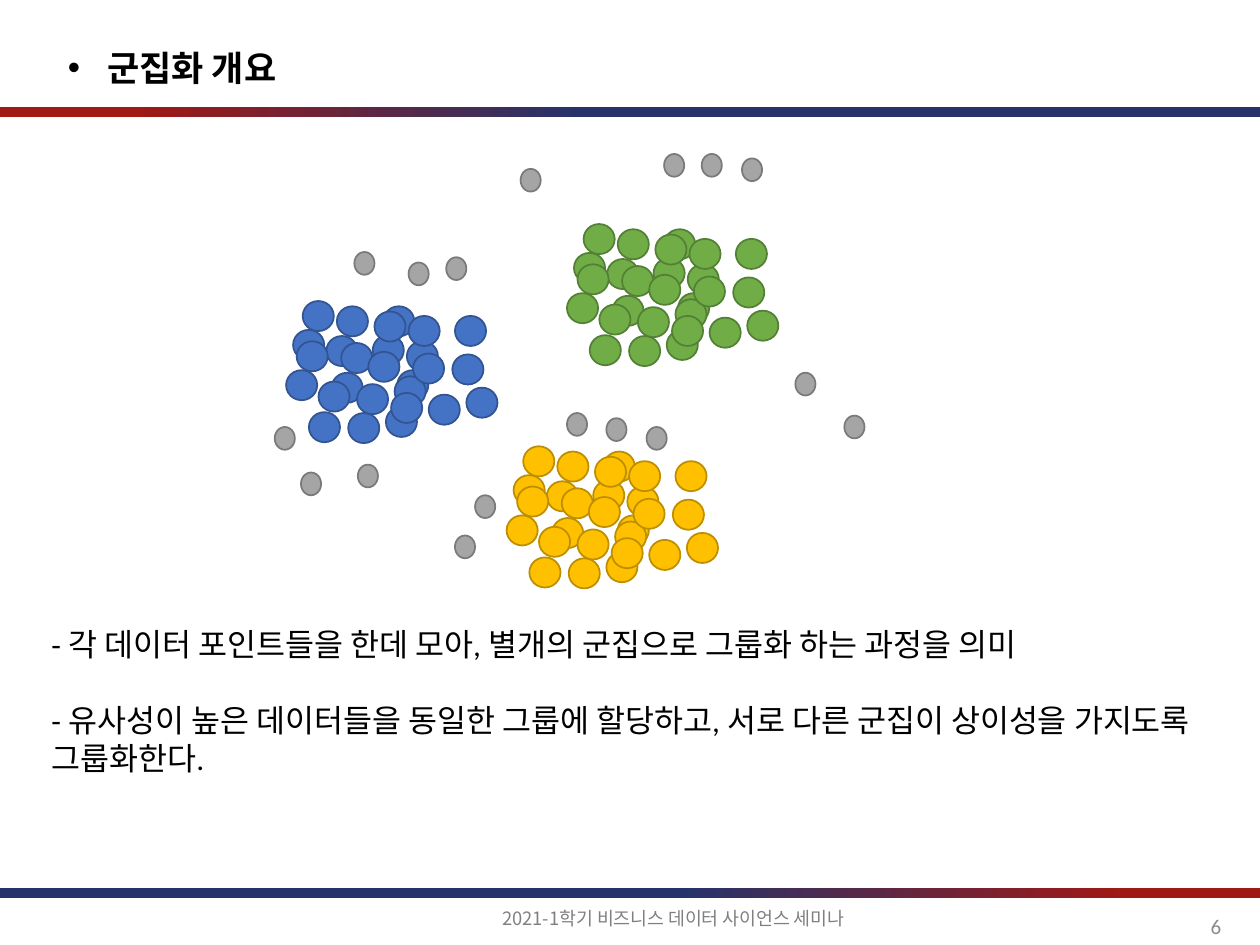
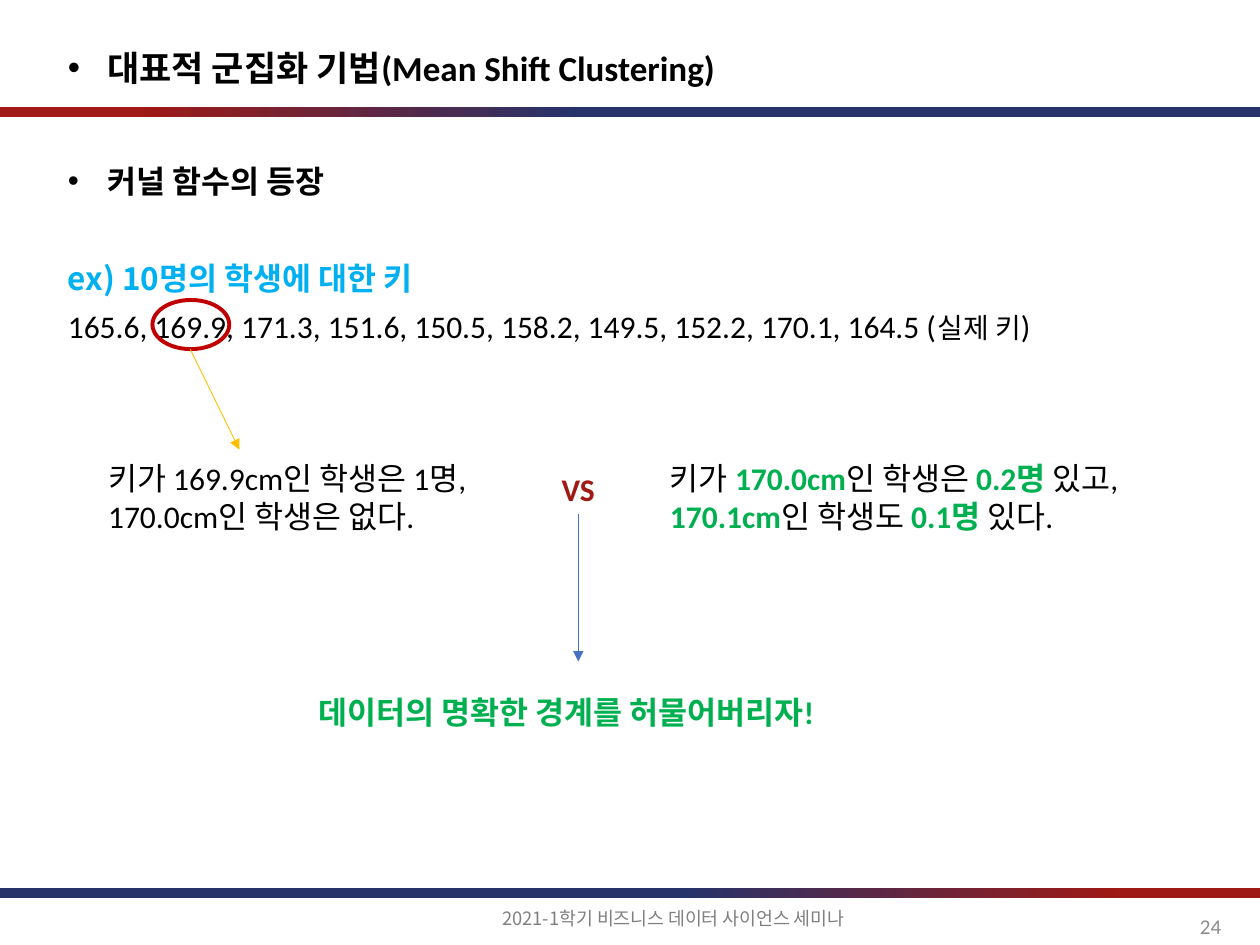
from lxml.etree import SubElement
from pptx import Presentation
from pptx.dml.color import RGBColor
from pptx.enum.shapes import MSO_CONNECTOR, MSO_SHAPE
from pptx.enum.text import MSO_ANCHOR, PP_ALIGN
from pptx.oxml.ns import qn
from pptx.util import Pt

LATIN, KOREAN = "Calibri", "Noto Sans CJK KR"
NAVY, CRIMSON = "26336B", "9F1915"
BLACK, GREEN, SKY = "000000", "00B050", "00B0F0"
FOOTER = "2021-1학기 비즈니스 데이터 사이언스 세미나"
LINE_PITCH = 1.21

# Fill, outline and top-left corner of each cluster
CLUSTERS = [
    ("4472C4", "325491", 163.5, 172),
    ("70AD47", "538035", 324, 128),
    ("FFC000", "BD8E00", 289.5, 255),
]
# Every cluster has the same scatter of members, in drawing order
MEMBERS = [
    (0, 39.5), (23, 20), (49.5, 19.5), (26, 41), (63.5, 39.5), (57, 60.5),
    (13, 63.5), (35.5, 64), (4, 16.5), (6, 23), (29, 3), (55.5, 3),
    (31.5, 24), (69, 23), (62, 43), (18.5, 46), (40.5, 47.5), (9.5, 0),
    (47, 29), (70, 8.5), (96.5, 8.5), (72.5, 30), (95, 30.5), (103, 49.5),
    (60, 52.5), (81.5, 53.5), (50.5, 6),
]
OUTLIERS = [
    (233.5, 150), (202.5, 144), (255, 147), (271.5, 283), (260, 306),
    (324, 236), (346.5, 239), (172, 270), (369.5, 244), (204.5, 265.5),
    (157, 244), (454.5, 213), (482.5, 237.5), (401, 88), (424, 90.5),
    (297.5, 96.5), (379.5, 88),
]


def rgb(color):
    return RGBColor.from_string(color)


class SeminarDeck:
    def __init__(self):
        self.deck = Presentation()
        self.deck.slide_width, self.deck.slide_height = Pt(720), Pt(540)
        self.page = None

    def add_page(self, title, number):
        self.page = self.deck.slides.add_slide(self.deck.slide_layouts[6])
        self.band(61.2, (11, CRIMSON), (46, NAVY))
        self.band(507.4, (54, NAVY), (89, CRIMSON))
        heading = self.box(31.7, 23, 618.5, 31.7)
        self.text(heading, [title], size=20, bold=True, bullet=True,
                  align=PP_ALIGN.JUSTIFY)
        footer = self.box(280, 514.8, 237.6, 20)
        self.text(footer, [FOOTER], size=10.5, color="808080", font=KOREAN)
        page_number = self.box(542.9, 514.8, 162, 28.8, MSO_ANCHOR.MIDDLE)
        self.text(page_number, [str(number)], size=12, color="8C8C8C",
                  align=PP_ALIGN.RIGHT)

    def band(self, top, *stops):
        """Full-width gradient bar; stops are (percent, color) pairs."""
        bar = self.page.shapes.add_shape(
            MSO_SHAPE.RECTANGLE, Pt(0), Pt(top), Pt(720), Pt(5.8))
        bar.shadow.inherit = False
        bar.line.fill.background()
        bar.fill.gradient()
        bar.fill.gradient_angle = 0
        for stop, (percent, color) in zip(bar.fill.gradient_stops, stops):
            stop.position = percent / 100
            stop.color.rgb = rgb(color)

    def box(self, left, top, width, height, anchor=MSO_ANCHOR.TOP):
        frame = self.page.shapes.add_textbox(
            Pt(left), Pt(top), Pt(width), Pt(height)).text_frame
        frame.word_wrap = True
        frame.vertical_anchor = anchor
        return frame

    def text(self, frame, spans, size=18, color=BLACK, bold=False, font=LATIN,
             align=PP_ALIGN.LEFT, before=0, after=0, bullet=False):
        """Add a paragraph; a span is a string or (string, font settings)."""
        para = frame.paragraphs[0]
        if para.runs:
            para = frame.add_paragraph()
        para.alignment = align
        para.line_spacing = Pt(size * LINE_PITCH)
        para.space_before, para.space_after = Pt(before), Pt(after)
        para.font.size, para.font.bold = Pt(size), bold
        para.font.color.rgb = rgb(color)
        para.font.name = font
        properties = para._p.pPr
        defaults = properties.find(qn("a:defRPr"))
        SubElement(defaults, qn("a:ea"), typeface=KOREAN)
        if bullet:
            properties.set("marL", str(Pt(22.5)))
            properties.set("indent", str(Pt(-22.5)))
            for tag, settings in (("a:buFont", {"typeface": "Arial"}),
                                  ("a:buChar", {"char": "•"})):
                defaults.addprevious(
                    SubElement(properties, qn(tag), settings))
        for span in spans:
            words, style = span if isinstance(span, tuple) else (span, {})
            run = para.add_run()
            run.text = words
            if "color" in style:
                run.font.color.rgb = rgb(style["color"])
            if "bold" in style:
                run.font.bold = style["bold"]
            if "size" in style:
                run.font.size = Pt(style["size"])

    def ellipse(self, left, top, width, height, line, fill=None, weight=1):
        oval = self.page.shapes.add_shape(
            MSO_SHAPE.OVAL, Pt(left), Pt(top), Pt(width), Pt(height))
        oval.shadow.inherit = False
        if fill:
            oval.fill.solid()
            oval.fill.fore_color.rgb = rgb(fill)
        else:
            oval.fill.background()
        oval.line.color.rgb = rgb(line)
        oval.line.width = Pt(weight)

    def arrow(self, x1, y1, x2, y2, color):
        link = self.page.shapes.add_connector(
            MSO_CONNECTOR.STRAIGHT, Pt(x1), Pt(y1), Pt(x2), Pt(y2))
        link.line.color.rgb = rgb(color)
        link.line.width = Pt(0.5)
        SubElement(link.line._get_or_add_ln(), qn("a:tailEnd"),
                   type="triangle")
        SubElement(link._element.spPr, qn("a:effectLst"))


def clustering_overview(deck):
    deck.add_page("군집화 개요", 6)
    for fill, line, left, top in CLUSTERS:
        for x, y in MEMBERS:
            deck.ellipse(left + x, top + y, 17.8, 17.2, line, fill)
    for x, y in OUTLIERS:
        deck.ellipse(x, y, 11.5, 13, "7A7A7A", "A5A5A5")
    summary = deck.box(22.3, 353.5, 682.6, 94.3)
    deck.text(summary, ["- 각 데이터 포인트들을 한데 모아, 별개의 군집으로 "
                        "그룹화 하는 과정을 의미"])
    deck.text(summary, ["- 유사성이 높은 데이터들을 동일한 그룹에 할당하고, "
                        "서로 다른 군집이 상이성을 가지도록 그룹화한다."],
              before=21.7)


def mean_shift(deck):
    deck.add_page("대표적 군집화 기법(Mean Shift Clustering)", 24)
    flow = {"align": PP_ALIGN.JUSTIFY, "after": 6}
    example = deck.box(31.7, 88.6, 611.3, 168.5)
    deck.text(example, ["커널 함수의 등장"], bold=True, font=KOREAN,
              bullet=True, **flow)
    deck.text(example, ["ex) 10명의 학생에 대한 키"], color=SKY, bold=True,
              font=KOREAN, before=27.7, **flow)
    deck.text(example, ["165.6, 169.9, 171.3, 151.6, 150.5, 158.2, 149.5, "
                        "152.2, 170.1, 164.5 (", ("실제 키", {"size": 16}),
                        ")"], **flow)
    deck.ellipse(87.1, 171.4, 43.9, 28.1, "C00000", weight=2.25)
    deck.arrow(108.7, 199.5, 136.8, 257, "FFC000")

    exact = deck.box(54.7, 258.7, 239.8, 51)
    deck.text(exact, ["키가 169.9cm인 학생은 1명, 170.0cm인 학생은 없다."])
    strong = {"color": GREEN, "bold": True}
    smooth = deck.box(375.8, 258.7, 285, 51)
    deck.text(smooth, ["키가 ", ("170.0cm", strong), "인 학생은 ",
                       ("0.2명", strong), " 있고, ", ("170.1cm", strong),
                       "인 학생도 ", ("0.1명", strong), " 있다."])
    versus = deck.box(300.2, 265, 60.5, 28.8)
    deck.text(versus, ["VS"], color=CRIMSON, bold=True, align=PP_ALIGN.CENTER)
    deck.arrow(330.5, 293.8, 330.5, 378, "4472C4")
    conclusion = deck.box(175, 392.4, 323.3, 28.8)
    deck.text(conclusion, ["데이터의 명확한 경계를 허물어버리자!"], **strong)


def main():
    seminar = SeminarDeck()
    clustering_overview(seminar)
    mean_shift(seminar)
    seminar.deck.save("out.pptx")


if __name__ == "__main__":
    main()
